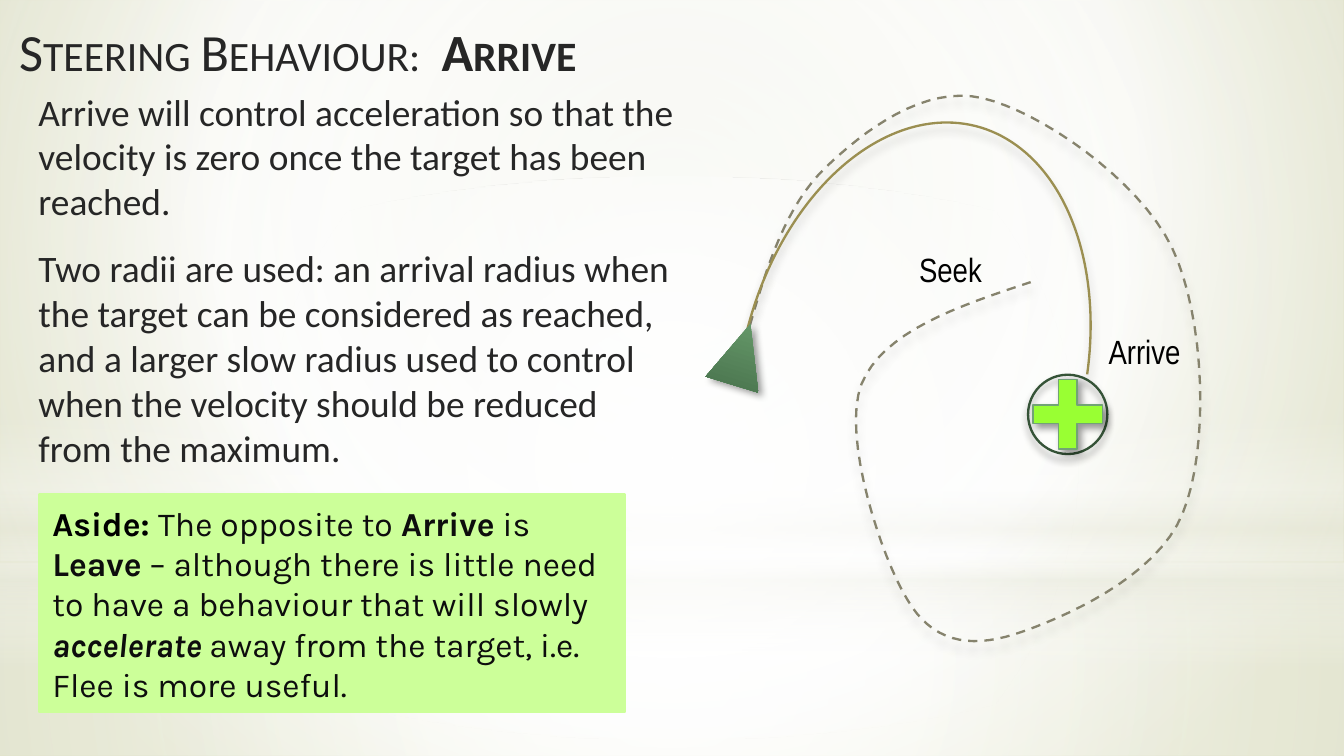
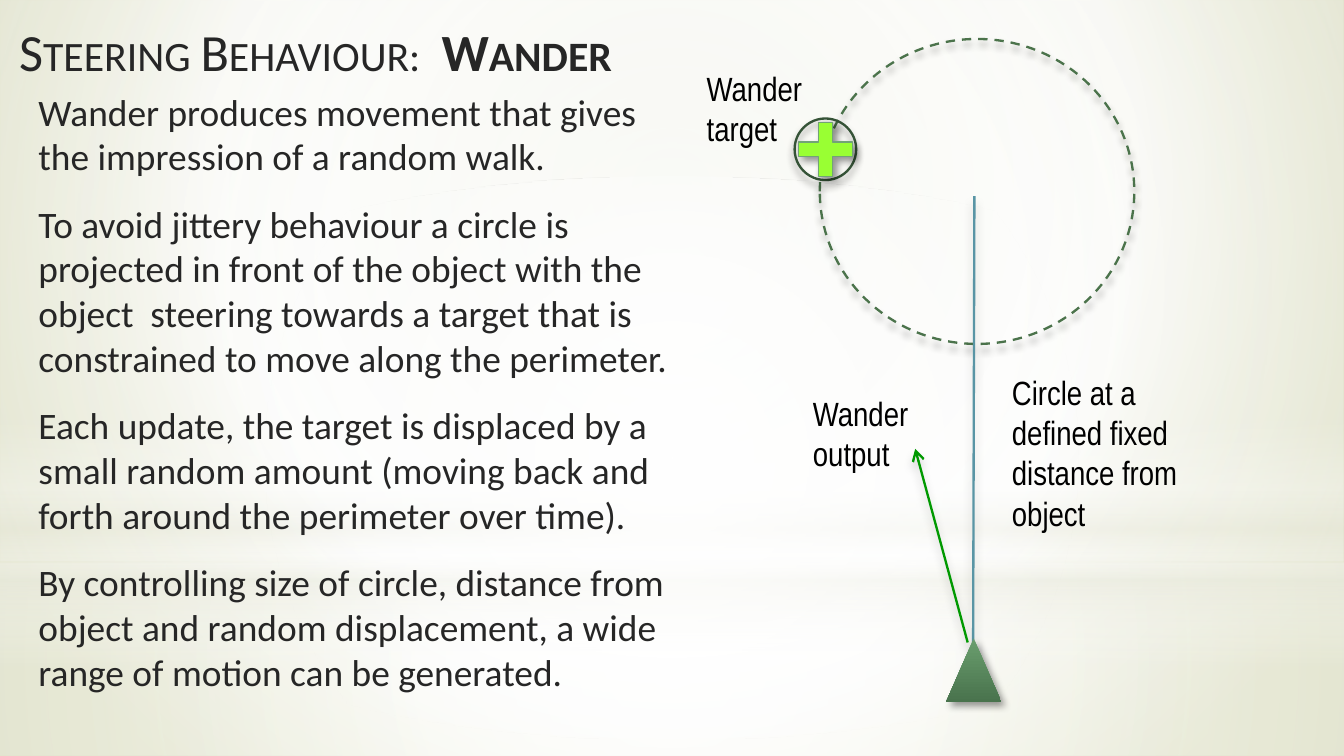
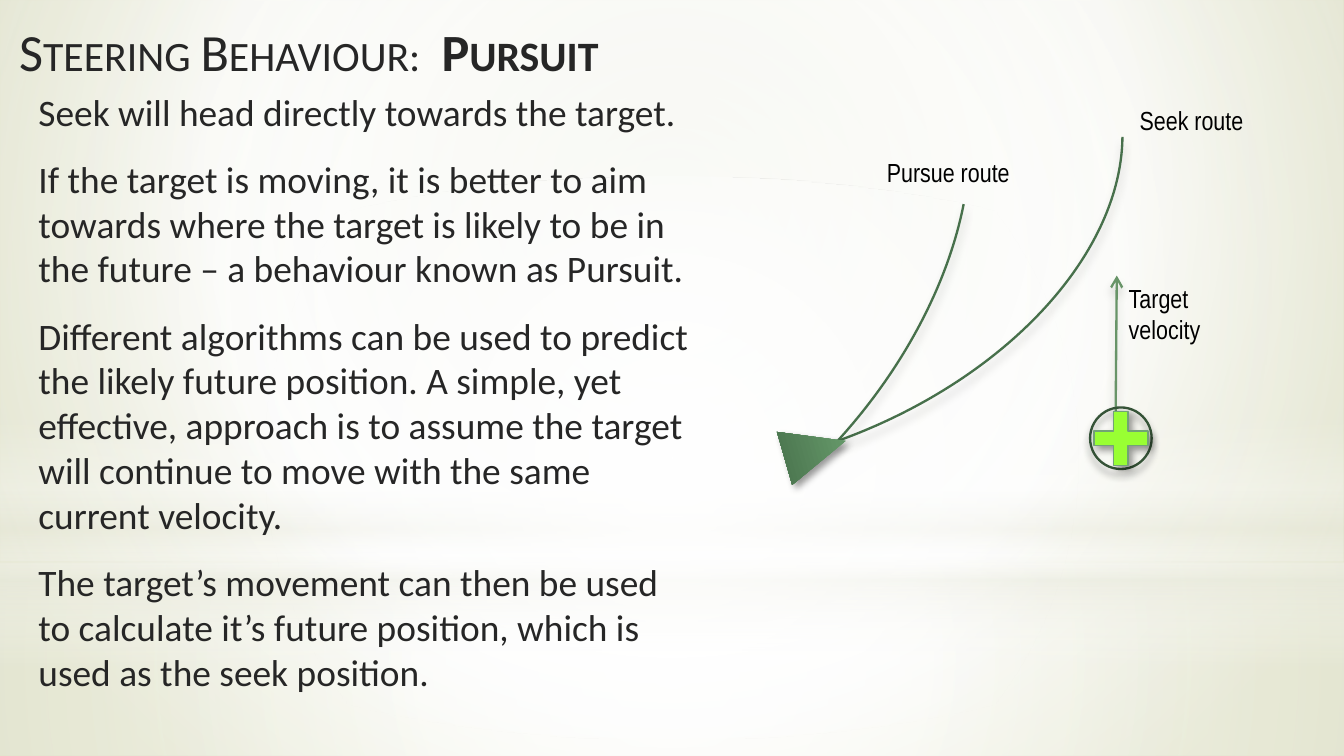
from pptx import Presentation
from pptx.dml.color import RGBColor
from pptx.enum.dml import MSO_LINE
from pptx.enum.shapes import MSO_CONNECTOR, MSO_SHAPE
from pptx.enum.text import MSO_ANCHOR, MSO_AUTO_SIZE, PP_ALIGN
from pptx.oxml import parse_xml
from pptx.oxml.ns import nsdecls, qn
from pptx.util import Pt

RECTANGLE, OVAL, ARC = MSO_SHAPE.RECTANGLE, MSO_SHAPE.OVAL, MSO_SHAPE.ARC
PLUS, TRIANGLE = MSO_SHAPE.MATH_PLUS, MSO_SHAPE.FLOWCHART_EXTRACT
STRAIGHT, DASH = MSO_CONNECTOR.STRAIGHT, MSO_LINE.DASH
MIDDLE, LEFT, FIXED = MSO_ANCHOR.MIDDLE, PP_ALIGN.LEFT, MSO_AUTO_SIZE.NONE

WHITE = RGBColor(0xFF, 0xFF, 0xFF)
BLACK = RGBColor(0x00, 0x00, 0x00)
INK = RGBColor(0x26, 0x26, 0x26)
ASIDE_INK = RGBColor(0x0D, 0x0D, 0x0D)
SAGE = RGBColor(0xE3, 0xE5, 0xD1)
OLIVE = RGBColor(0xCC, 0xD0, 0x9F)
MIST = RGBColor(0xEA, 0xEB, 0xDE)
ASIDE_GREEN = RGBColor(0xCC, 0xFF, 0x99)
RING_GREEN = RGBColor(0x35, 0x53, 0x37)
PLUS_GREEN = RGBColor(0x99, 0xFF, 0x33)
PLUS_EDGE = RGBColor(0x72, 0xA3, 0x76)
AGENT_LIGHT = RGBColor(0x6A, 0x9E, 0x6E)
AGENT_DARK = RGBColor(0x49, 0x73, 0x4D)
ARRIVE_GOLD = RGBColor(0x9B, 0x8F, 0x51)
SEEK_GREY = RGBColor(0x86, 0x83, 0x6D)
CIRCLE_GREEN = RGBColor(0x4B, 0x73, 0x4B)
ROUTE_GREEN = RGBColor(0x47, 0x70, 0x4B)
DISTANCE_BLUE = RGBColor(0x59, 0x95, 0xA5)
OUTPUT_GREEN = RGBColor(0x00, 0x99, 0x00)
VELOCITY_GREEN = RGBColor(0x68, 0x94, 0x68)

LINE_WIDTH = Pt(1.25)
SOLID_SHADOW = (40, 4, 3, 90)
DIAGONAL_SHADOW = (40, 4, 3, 45)
LINE_SHADOW = (20, 5, 4, 90)


def paint_gradient(properties, stops, focus=None):
    """Swap a solid fill for a gradient: circular around focus, else downward."""
    stop_xml = "".join(
        f'<a:gs pos="{pos * 1000}"><a:srgbClr val="{color}">'
        f'<a:alpha val="{alpha * 1000}"/></a:srgbClr></a:gs>'
        for pos, color, alpha in stops)
    if focus:
        l, t, r, b = (edge * 1000 for edge in focus)
        direction = (f'<a:path path="circle"><a:fillToRect l="{l}" t="{t}" '
                     f'r="{r}" b="{b}"/></a:path>')
    else:
        direction = '<a:lin ang="5400000" scaled="0"/>'
    gradient = parse_xml(f'<a:gradFill {nsdecls("a")} rotWithShape="1"><a:gsLst>'
                         f'{stop_xml}</a:gsLst>{direction}</a:gradFill>')
    properties.replace(properties.find(qn("a:solidFill")), gradient)


def cast_shadow(shape, alpha, blur, distance, angle):
    """Add an outer shadow; call it after the fill and line are set."""
    shape.element.spPr.append(parse_xml(
        f'<a:effectLst {nsdecls("a")}><a:outerShdw blurRad="{Pt(blur)}" '
        f'dist="{Pt(distance)}" dir="{angle * 60000}" rotWithShape="0">'
        f'<a:srgbClr val="{BLACK}"><a:alpha val="{alpha * 1000}"/></a:srgbClr>'
        f'</a:outerShdw></a:effectLst>'))


prs = Presentation()
prs.slide_width, prs.slide_height = Pt(720), Pt(405)
master, title_only = prs.slide_master, prs.slide_layouts[5]

# Titles and body text
BEHAVIOURS = [
    ("Arrive", 356, 213, [
        "Arrive will control acceleration so that the velocity is zero once the "
        "target has been reached.",
        "Two radii are used: an arrival radius when the target can be considered as "
        "reached, and a larger slow radius used to control when the velocity should "
        "be reduced from the maximum."]),
    ("Wander", 364, 371, [
        "Wander produces movement that gives the impression of a random walk.",
        "To avoid jittery behaviour a circle is projected in front of the object with "
        "the object  steering towards a target that is constrained to move along the "
        "perimeter.",
        "Each update, the target is displaced by a small random amount (moving back "
        "and forth around the perimeter over time).",
        "By controlling size of circle, distance from object and random displacement, "
        "a wide range of motion can be generated."]),
    ("Pursuit", 364, 371, [
        "Seek will head directly towards the target.",
        "If the target is moving, it is better to aim towards where the target is "
        "likely to be in the future – a behaviour known as Pursuit.",
        "Different algorithms can be used to predict the likely future position. A "
        "simple, yet effective, approach is to assume the target will continue to "
        "move with the same current velocity.",
        "The target’s movement can then be used to calculate it’s future position, "
        "which is used as the seek position."]),
]
slides = []
for behaviour, body_width, body_height, paragraphs in BEHAVIOURS:
    slide = prs.slides.add_slide(title_only)
    slides.append(slide)

    title = slide.shapes.title
    title.left, title.top, title.width, title.height = Pt(3), Pt(4.5), Pt(306), Pt(45)
    name = slide.shapes.add_textbox(Pt(229.5), Pt(4.5), Pt(113), Pt(45))
    for heading, text, bold in ((title, "Steering Behaviour:", False),
                                (name, behaviour, True)):
        frame = heading.text_frame
        frame.text = text
        frame.word_wrap = True
        frame.auto_size = FIXED
        frame.vertical_anchor = MIDDLE
        frame.paragraphs[0].alignment = LEFT
        run = frame.paragraphs[0].runs[0]
        run.font.name, run.font.size, run.font.bold = "Calibri", Pt(28), bold
        run.font.color.rgb = INK
        run.font._element.set("cap", "small")

    body = slide.shapes.add_textbox(Pt(13.5), Pt(44), Pt(body_width), Pt(body_height))
    body.text_frame.word_wrap = True
    body.text_frame.text = "\n".join(paragraphs)
    for number, paragraph in enumerate(body.text_frame.paragraphs):
        if number:
            paragraph.space_before = Pt(12)
        font = paragraph.runs[0].font
        font.name, font.size = "Calibri", Pt(20)
        font.color.rgb = INK
arrive, wander, pursuit = slides

# Shared backdrop, moved to the master behind its placeholders
master.background.fill.solid()
paint_gradient(master.element.find(".//" + qn("p:bgPr")),
               [(0, SAGE, 100), (60, WHITE, 100), (100, OLIVE, 100)], (20, 10, 20, 60))
CENTRE = (50, 50, 50, 50)
BANDS = [
    (RECTANGLE, 301.5, 103.5, CENTRE, [(0, WHITE, 91), (37, WHITE, 76), (100, MIST, 79)]),
    (RECTANGLE, 0, 301.5, CENTRE, [(0, WHITE, 89), (48, WHITE, 62), (100, MIST, 79)]),
    (RECTANGLE, 222.5, 135, None, [(0, WHITE, 0), (29, WHITE, 30), (45, MIST, 40),
                                   (55, WHITE, 26), (65, MIST, 60), (100, WHITE, 0)]),
    (OVAL, 94.5, 301.5, CENTRE, [(0, WHITE, 100), (56, WHITE, 0)]),
]
for order, (outline, top, height, focus, stops) in enumerate(BANDS):
    band = arrive.shapes.add_shape(outline, 0, Pt(top), prs.slide_width, Pt(height))
    band.shadow.inherit = False
    band.line.fill.background()
    band.fill.solid()
    paint_gradient(band.element.spPr, stops, focus)
    band.element.nvSpPr.cNvPr.set("id", str(100 + order))
    master.shapes.element.insert(2 + order, band.element)

# Arrive: aside
aside = arrive.shapes.add_shape(RECTANGLE, Pt(21), Pt(265), Pt(314), Pt(116.5))
aside.shadow.inherit = False
aside.fill.solid()
aside.fill.fore_color.rgb = aside.line.color.rgb = ASIDE_GREEN
aside.line.width = LINE_WIDTH
aside.text_frame.word_wrap = True
aside.text_frame.vertical_anchor = MIDDLE
remark = aside.text_frame.paragraphs[0]
remark.alignment = LEFT
for text, bold, italic, color in (
        ("Aside: ", True, False, BLACK),
        ("The opposite to ", False, False, ASIDE_INK),
        ("Arrive", True, False, ASIDE_INK),
        (" is ", False, False, ASIDE_INK),
        ("Leave", True, False, ASIDE_INK),
        (" – although there is little need to have a behaviour that will slowly ",
         False, False, ASIDE_INK),
        ("accelerate ", True, True, ASIDE_INK),
        ("away from the target, i.e. Flee is more useful.", False, False, ASIDE_INK)):
    run = remark.add_run()
    run.text = text
    run.font.name, run.font.size = "Karla", Pt(18)
    run.font.bold, run.font.italic = bold, italic
    run.font.color.rgb = color

# Arrive: overshooting seek path, sampled from cubic curves
SEEK_START = (401.8, 174.2)
SEEK_CURVES = [
    ((411.1, 141.8), (421.2, 110.2), (442.1, 90)),
    ((463, 69.8), (495.4, 45.4), (526.3, 52.6)),
    ((557.3, 59.8), (609.8, 95.8), (627.8, 132.5)),
    ((645.8, 169.9), (648, 240.5), (633.6, 275)),
    ((619.9, 309.6), (568.1, 331.9), (543.6, 339.8)),
    ((518.4, 347.8), (499, 343.4), (486, 321.1)),
    ((472.3, 298.8), (450.7, 234), (461.5, 205.9)),
    ((473, 177.8), (512.6, 164.2), (552.2, 151.2)),
]
STEPS = 16
seek_points, start = [], SEEK_START
for first, second, end in SEEK_CURVES:
    for step in range(1, STEPS + 1):
        t = step / STEPS
        u = 1 - t
        seek_points.append(tuple(
            Pt(u**3 * a + 3 * u * u * t * b + 3 * u * t * t * c + t**3 * d)
            for a, b, c, d in zip(start, first, second, end)))
    start = end
builder = arrive.shapes.build_freeform(Pt(SEEK_START[0]), Pt(SEEK_START[1]))
builder.add_line_segments(seek_points, close=False)
seek_path = builder.convert_to_shape()

# Wander: projected circle
circle = wander.shapes.add_shape(OVAL, Pt(439.2), Pt(20.9), Pt(168.5), Pt(163.4))

for dashed, color, shadow in ((seek_path, SEEK_GREY, LINE_SHADOW),
                              (circle, CIRCLE_GREEN, SOLID_SHADOW)):
    dashed.fill.background()
    dashed.line.color.rgb = color
    dashed.line.width = LINE_WIDTH
    dashed.line.dash_style = DASH
    cast_shadow(dashed, *shadow)

# Curved routes
for slide, left, top, width, height, turn, start_angle, mirrored, color in (
        (arrive, 397.4, 63.4, 183.6, 272.2, 14.2, 116.13, True, ARRIVE_GOLD),
        (pursuit, 269.3, -94.3, 267, 410.4, 70.5, 167.28, False, ROUTE_GREEN),
        (pursuit, 216, -58.3, 267, 410.4, 42.6, 182.83, False, ROUTE_GREEN)):
    route = slide.shapes.add_shape(ARC, Pt(left), Pt(top), Pt(width), Pt(height))
    route.adjustments[0] = start_angle
    route.rotation = turn
    if mirrored:
        route.element.spPr.xfrm.set("flipH", "1")
    route.fill.background()
    route.line.color.rgb = color
    route.line.width = LINE_WIDTH
    cast_shadow(route, *LINE_SHADOW)

# Straight lines and arrows
for slide, x1, y1, x2, y2, color, arrow in (
        (wander, 521.3, 352.8, 522, 105.1, DISTANCE_BLUE, False),
        (wander, 518.4, 344.2, 490.3, 240.5, OUTPUT_GREEN, True),
        (pursuit, 597.6, 229.7, 598.3, 147.6, VELOCITY_GREEN, True)):
    vector = slide.shapes.add_connector(STRAIGHT, Pt(x1), Pt(y1), Pt(x2), Pt(y2))
    vector.line.color.rgb = color
    vector.line.width = LINE_WIDTH
    if arrow:
        vector.get_or_add_ln().append(
            parse_xml(f'<a:tailEnd {nsdecls("a")} type="arrow"/>'))
    cast_shadow(vector, *LINE_SHADOW)

# Targets: a plus inside a ring
for slide, x, y, size in ((arrive, 572, 222, 42.5), (wander, 442.2, 80, 33),
                          (pursuit, 600.5, 234.8, 33)):
    ring = slide.shapes.add_shape(OVAL, Pt(x - size / 2), Pt(y - size / 2),
                                  Pt(size), Pt(size))
    ring.fill.background()
    ring.line.color.rgb = RING_GREEN
    ring.line.width = LINE_WIDTH
    cast_shadow(ring, *SOLID_SHADOW)
    span = size * 1.19
    plus = slide.shapes.add_shape(PLUS, Pt(x - span / 2), Pt(y - span / 2),
                                  Pt(span), Pt(span))
    plus.adjustments[0] = 0.195
    plus.fill.solid()
    plus.fill.fore_color.rgb = PLUS_GREEN
    plus.line.color.rgb = PLUS_EDGE
    plus.line.width = Pt(0.75)
    cast_shadow(plus, *DIAGONAL_SHADOW)

# Moving objects
for slide, left, top, turn in ((arrive, 382.3, 172.8, 17), (wander, 506.9, 342, 0),
                               (pursuit, 421.9, 223.9, 74)):
    agent = slide.shapes.add_shape(TRIANGLE, Pt(left), Pt(top), Pt(29.5), Pt(34))
    agent.rotation = turn
    agent.line.fill.background()
    agent.fill.solid()
    paint_gradient(agent.element.spPr, [(0, AGENT_LIGHT, 100), (100, AGENT_DARK, 100)])
    cast_shadow(agent, *DIAGONAL_SHADOW)

# Diagram labels
for slide, text, left, top, width, height, size in (
        (arrive, "Arrive", 586.8, 173.5, 84, 29, 18),
        (arrive, "Seek", 485.3, 129.6, 84, 29, 18),
        (wander, "Circle at a defined fixed distance from object",
         535, 195, 106.5, 94.5, 18),
        (wander, "Wander target", 371.5, 32.4, 73.5, 51, 18),
        (wander, "Wander output", 428.4, 206.6, 78.5, 51, 18),
        (pursuit, "Pursue route", 468, 80, 112.5, 24.5, 14),
        (pursuit, "Target velocity", 597.6, 147.6, 62, 41, 14),
        (pursuit, "Seek route", 603.4, 52, 112.5, 24.5, 14)):
    label = slide.shapes.add_textbox(Pt(left), Pt(top), Pt(width), Pt(height))
    label.text_frame.word_wrap = True
    label.text_frame.vertical_anchor = MIDDLE
    label.text_frame.text = text
    font = label.text_frame.paragraphs[0].runs[0].font
    font.name, font.size = "Arial Narrow", Pt(size)
    font.color.rgb = BLACK

prs.save("out.pptx")
